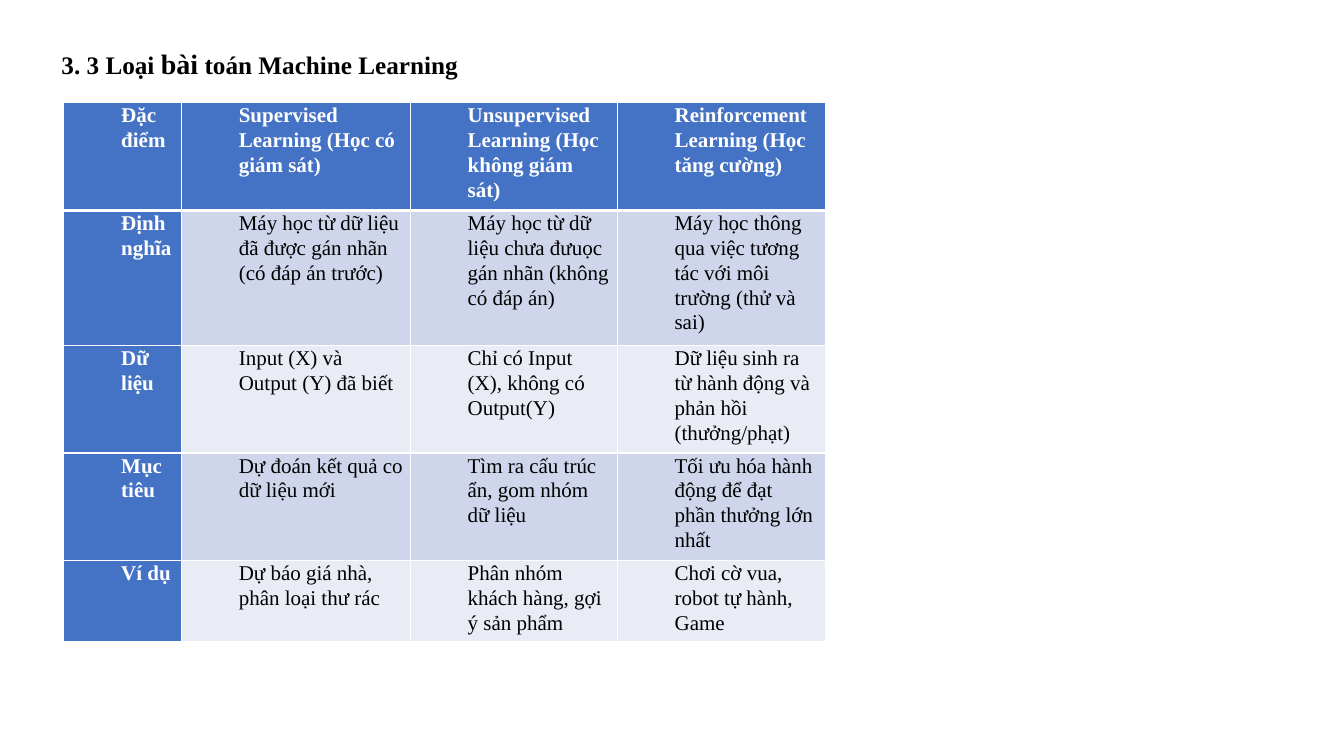
from dataclasses import dataclass

from lxml import etree
from pptx import Presentation
from pptx.dml.color import RGBColor
from pptx.enum.text import MSO_ANCHOR, MSO_AUTO_SIZE, PP_ALIGN
from pptx.oxml.ns import qn
from pptx.util import Pt

LEFT = PP_ALIGN.LEFT
TOP = MSO_ANCHOR.TOP
NO_AUTOFIT = MSO_AUTO_SIZE.NONE
TITLE_ONLY_LAYOUT = 5

FONT = "Times New Roman"
BLACK, WHITE, BLUE = "000000", "FFFFFF", "4472C4"
BANDS = ("CFD5EA", "E9EBF5")
COLUMN_WIDTHS = (84, 163.5, 147.8, 148.7)


@dataclass
class TableRow:
    height: float
    texts: tuple[str, ...]


ROWS = (
    TableRow(77, ("Đặc điểm", "Supervised Learning (Học có giám sát)",
                  "Unsupervised Learning (Học không giám sát)",
                  "Reinforcement Learning (Học tăng cường)")),
    TableRow(96.5, ("Định nghĩa", "Máy học từ dữ liệu đã được gán nhãn (có đáp án trước)",
                    "Máy học từ dữ liệu chưa đưuọc gán nhãn (không có đáp án)",
                    "Máy học thông qua việc tương tác với môi trường (thử và sai)")),
    TableRow(76.7, ("Dữ liệu", "Input (X) và Output (Y) đã biết",
                    "Chỉ có Input (X), không có Output(Y)",
                    "Dữ liệu sinh ra từ hành động và phản hồi (thưởng/phạt)")),
    TableRow(76.7, ("Mục tiêu", "Dự đoán kết quả co dữ liệu mới",
                    "Tìm ra cấu trúc ẩn, gom nhóm dữ liệu",
                    "Tối ưu hóa hành động để đạt phần thưởng lớn nhất")),
    TableRow(57.8, ("Ví dụ", "Dự báo giá nhà, phân loại thư rác",
                    "Phân nhóm khách hàng, gợi ý sản phẩm",
                    "Chơi cờ vua, robot tự hành, Game")),
)


def color(hex_code: str) -> RGBColor:
    return RGBColor.from_string(hex_code)


def format_run(run, size: float, hex_code: str, bold: bool) -> None:
    run.font.name = FONT
    run.font.size = Pt(size)
    run.font.bold = bold
    run.font.color.rgb = color(hex_code)


def set_border(cell, side: str, width: float) -> None:
    properties = cell._tc.get_or_add_tcPr()
    line = etree.SubElement(properties, qn(f"a:ln{side}"), w=str(Pt(width)))
    fill = etree.SubElement(line, qn("a:solidFill"))
    etree.SubElement(fill, qn("a:srgbClr"), val=WHITE)


def add_title(slide) -> None:
    title = slide.shapes.title
    title.left, title.top, title.width, title.height = Pt(36.7), Pt(29.5), Pt(480), Pt(31.7)
    frame = title.text_frame
    frame.word_wrap = True
    frame.auto_size = NO_AUTOFIT
    frame.vertical_anchor = TOP
    paragraph = frame.paragraphs[0]
    paragraph.alignment = LEFT
    for text, size in (("3. 3 Loại ", 18), ("bài", 20), (" toán Machine Learning", 18)):
        run = paragraph.add_run()
        run.text = text
        format_run(run, size, BLACK, True)


def fill_cell(cell, text: str, row: int, column: int) -> None:
    is_header = row == 0 or column == 0

    # Borders and background; the heading row has a thick lower edge
    for side in "LRTB":
        below_heading = (row, side) in ((0, "B"), (1, "T"))
        set_border(cell, side, 3 if below_heading else 1)
    cell.fill.solid()
    cell.fill.fore_color.rgb = color(BLUE if is_header else BANDS[(row - 1) % 2])

    # Text
    cell.margin_left = cell.margin_right = Pt(5)
    cell.margin_top = cell.margin_bottom = Pt(0)
    cell.vertical_anchor = TOP
    cell.text_frame.text = text
    paragraph = cell.text_frame.paragraphs[0]
    paragraph.alignment = LEFT
    paragraph.line_spacing = 1.07
    if column == len(COLUMN_WIDTHS) - 1:
        paragraph.space_after = Pt(8)
    indent = paragraph._p.get_or_add_pPr()
    indent.set("marL", str(Pt(36)))
    indent.set("indent", "0")
    format_run(paragraph.runs[0], 15, WHITE if is_header else BLACK, is_header)


def add_comparison_table(slide) -> None:
    frame = slide.shapes.add_table(
        len(ROWS), len(COLUMN_WIDTHS), Pt(45.6), Pt(73.4),
        Pt(sum(COLUMN_WIDTHS)), Pt(sum(row.height for row in ROWS)))
    table = frame.table
    table.first_col = True
    for column, width in zip(table.columns, COLUMN_WIDTHS):
        column.width = Pt(width)
    for row_index, row in enumerate(ROWS):
        table.rows[row_index].height = Pt(row.height)
        for column_index, text in enumerate(row.texts):
            fill_cell(table.cell(row_index, column_index), text, row_index, column_index)


def main() -> None:
    presentation = Presentation()
    presentation.slide_width, presentation.slide_height = Pt(960), Pt(540)
    slide = presentation.slides.add_slide(presentation.slide_layouts[TITLE_ONLY_LAYOUT])
    add_title(slide)
    add_comparison_table(slide)
    presentation.save("out.pptx")


if __name__ == "__main__":
    main()
